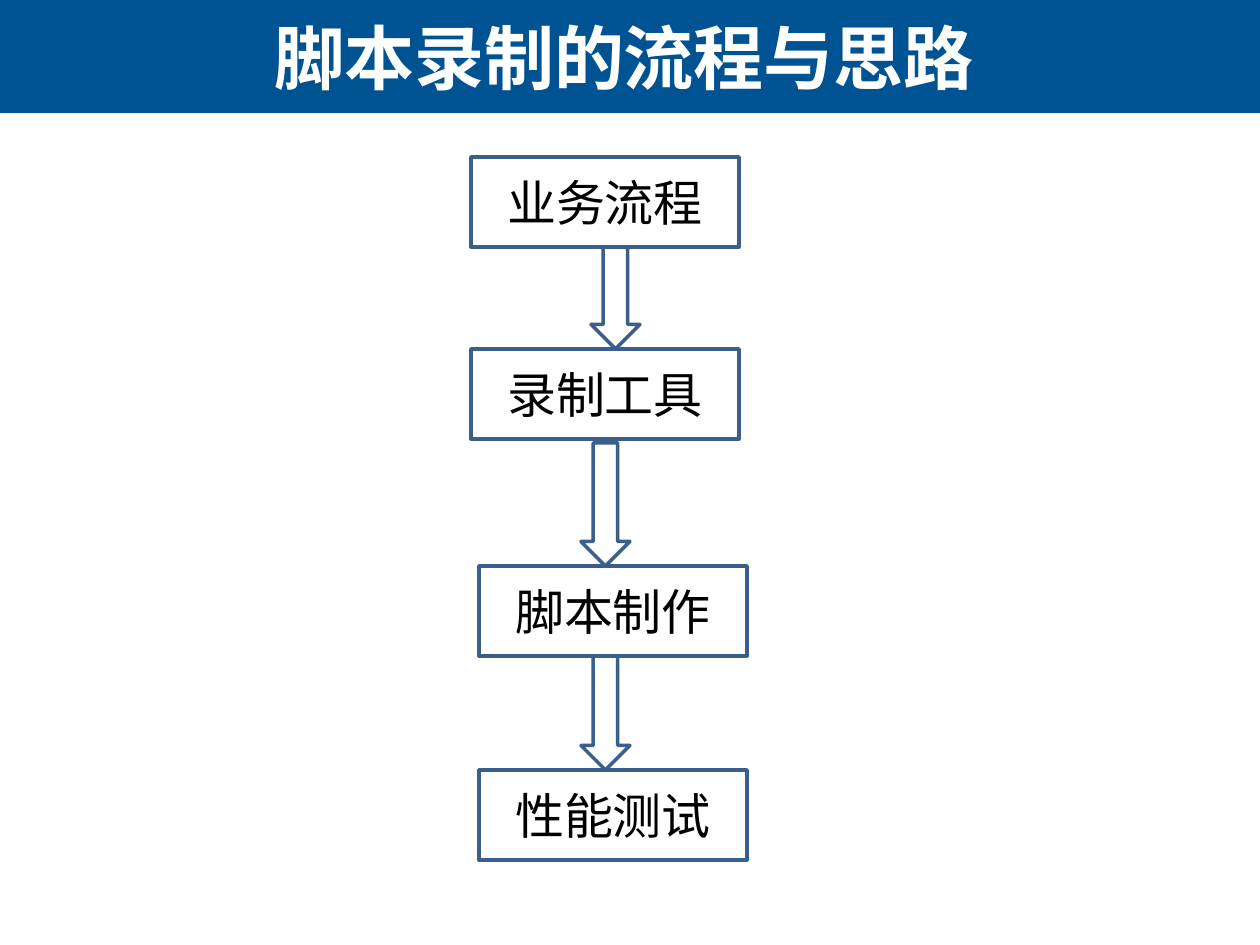
"""Build a slide showing the script recording workflow as a vertical flowchart."""
from pptx import Presentation
from pptx.dml.color import RGBColor
from pptx.enum.shapes import MSO_SHAPE
from pptx.enum.text import MSO_ANCHOR, PP_ALIGN
from pptx.util import Pt

PX = 914400 / 126
COLORS = {"banner": "005392", "title": "FFFFFF", "outline": "3A5F8C", "text": "000000"}
STEP_WIDTH, STEP_HEIGHT, ARROW_WIDTH = 268, 90, 49


def px(*lengths):
    return [round(length * PX) for length in lengths]


def add_outlined(preset, left, top, width, height):
    outlined = slide.shapes.add_shape(preset, *px(left, top, width, height))
    outlined.shadow.inherit = False
    outlined.fill.background()
    outlined.line.color.rgb = RGBColor.from_string(COLORS["outline"])
    outlined.line.width = Pt(2)
    return outlined


prs = Presentation()
prs.slide_width, prs.slide_height = px(1260, 945)
slide = prs.slides.add_slide(prs.slide_layouts[5])

banner = slide.shapes.add_shape(MSO_SHAPE.RECTANGLE, *px(0, 0, 1260, 113))
banner.shadow.inherit = False
banner.fill.solid()
banner.fill.fore_color.rgb = RGBColor.from_string(COLORS["banner"])
banner.line.fill.background()

title = slide.shapes.title
title.left, title.top, title.width, title.height = px(2, 0, 1244, 113)
slide.shapes._spTree.append(title._element)
title.text_frame.text = "脚本录制的流程与思路"
title.text_frame.vertical_anchor = MSO_ANCHOR.MIDDLE
heading = title.text_frame.paragraphs[0]
heading.alignment = PP_ALIGN.CENTER
heading.font.name = "Arial"
heading.font.size = Pt(40)
heading.font.bold = True
heading.font.color.rgb = RGBColor.from_string(COLORS["title"])

steps = [
    ("业务流程", 471, 157),
    ("录制工具", 471, 349),
    ("脚本制作", 479, 566),
    ("性能测试", 479, 770),
]
for wording, left, top in steps:
    step = add_outlined(MSO_SHAPE.RECTANGLE, left, top, STEP_WIDTH, STEP_HEIGHT)
    step.text_frame.text = wording
    step.text_frame.vertical_anchor = MSO_ANCHOR.MIDDLE
    label = step.text_frame.paragraphs[0]
    label.alignment = PP_ALIGN.CENTER
    label.font.name = "Calibri"
    label.font.size = Pt(28)
    label.font.color.rgb = RGBColor.from_string(COLORS["text"])

arrow_starts = [(591, 247), (581, 443), (581, 656)]
for (left, top), (_, _, next_top) in zip(arrow_starts, steps[1:]):
    add_outlined(MSO_SHAPE.DOWN_ARROW, left, top, ARROW_WIDTH, next_top - top)

prs.save("out.pptx")
